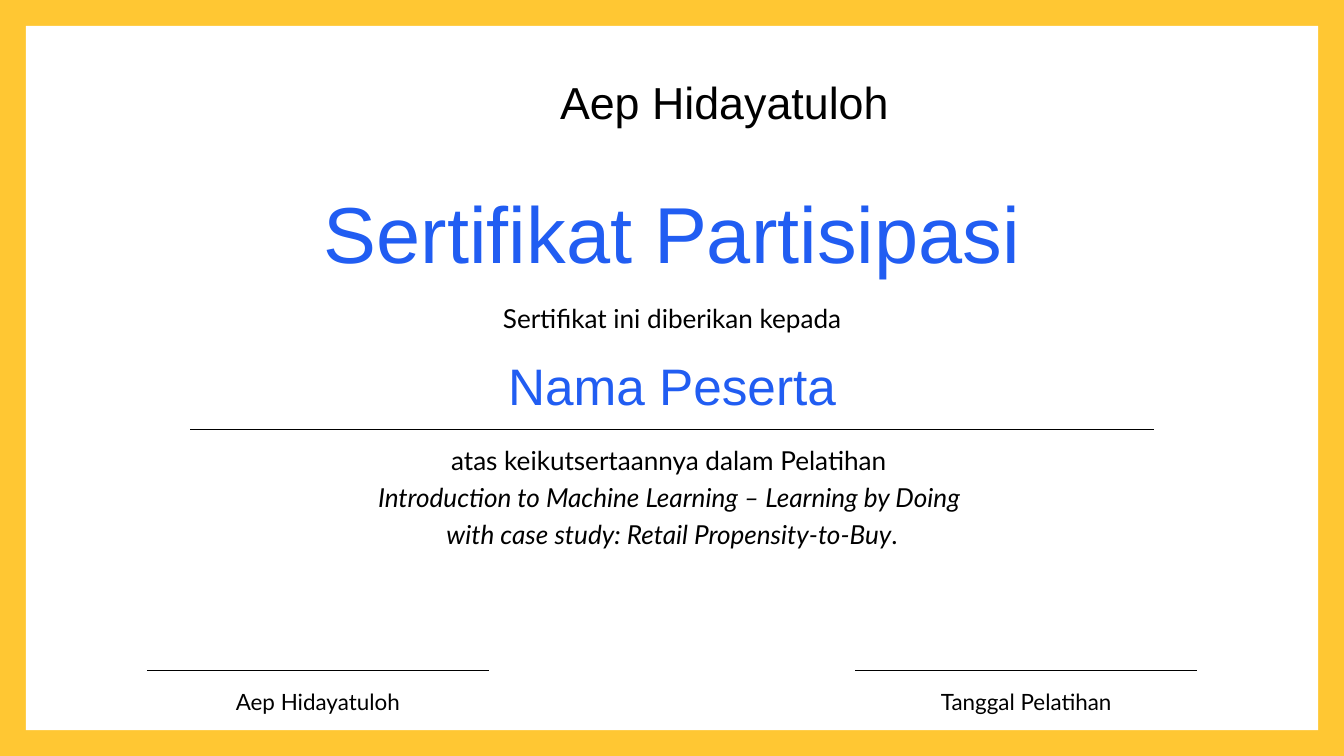
from dataclasses import dataclass

from lxml.etree import SubElement
from pptx import Presentation
from pptx.dml.color import RGBColor
from pptx.enum.shapes import MSO_CONNECTOR, MSO_SHAPE
from pptx.enum.text import MSO_AUTO_SIZE, PP_ALIGN
from pptx.oxml.ns import qn
from pptx.util import Pt

EMU_PER_PX = 9525
WIDTH, HEIGHT = 1920, 1080


@dataclass(frozen=True)
class Style:
    """Font, size, line spacing and colour of one kind of text."""
    font: str
    size: int
    spacing: float
    color: RGBColor


@dataclass(frozen=True)
class Theme:
    """Colours and text styles of the certificate."""
    border = RGBColor.from_string("FFC733")
    paper = RGBColor.from_string("FFFFFF")
    ink = RGBColor.from_string("000000")
    accent = RGBColor.from_string("215DF2")
    issuer = Style("Arial", 48, 39.2, ink)
    title = Style("Arial", 85, 93.5, accent)
    recipient = Style("Arial", 55, 60.5, accent)
    body = Style("Lato", 28, 39.2, ink)
    signature = Style("Lato", 24, 33.6, ink)


THEME = Theme()


def px(*lengths):
    """Turn pixel lengths into EMU."""
    return [length * EMU_PER_PX for length in lengths]


def add_text(slide, box, lines, style, align=PP_ALIGN.CENTER):
    """Add a text box with one paragraph per line and return its paragraphs."""
    frame = slide.shapes.add_textbox(*px(*box)).text_frame
    frame.word_wrap = True
    frame.auto_size = MSO_AUTO_SIZE.SHAPE_TO_FIT_TEXT
    frame.margin_left = frame.margin_right = 0
    frame.margin_top = frame.margin_bottom = 0
    frame.text = "\n".join(lines)
    for paragraph in frame.paragraphs:
        paragraph.alignment = align
        paragraph.line_spacing = Pt(style.spacing)
        for run in paragraph.runs:
            run.font.name = style.font
            run.font.size = Pt(style.size)
            run.font.color.rgb = style.color
    return frame.paragraphs


def add_rule(slide, left, top, width, weight):
    """Add a thin horizontal rule."""
    rule = slide.shapes.add_connector(
        MSO_CONNECTOR.STRAIGHT, *px(left, top, left + width, top))
    rule.line.color.rgb = THEME.ink
    rule.line.width = Pt(weight)
    SubElement(rule._element.spPr, qn("a:effectLst"))


def add_frame(slide, margin):
    """Colour the border and lay the white sheet inside it."""
    slide.background.fill.solid()
    slide.background.fill.fore_color.rgb = THEME.border
    sheet = slide.shapes.add_shape(
        MSO_SHAPE.RECTANGLE,
        *px(margin, margin, WIDTH - 2 * margin, HEIGHT - 2 * margin))
    sheet.shadow.inherit = False
    sheet.fill.solid()
    sheet.fill.fore_color.rgb = THEME.paper
    sheet.line.fill.background()


def add_heading(slide, left, top, width):
    """Add the issuer's name and the certificate title."""
    add_text(slide, (left + 610, top, 512, 58), ["Aep Hidayatuloh"],
             THEME.issuer, PP_ALIGN.LEFT)
    add_text(slide, (left, top + 144, width, 128), ["Sertifikat Partisipasi"],
             THEME.title)


def add_award(slide, left, top, width):
    """Add the recipient, the rule below the name and the training."""
    add_text(slide, (left, top, width, 51),
             ["Sertifikat ini diberikan kepada"], THEME.body)
    add_text(slide, (left, top + 88, width, 83), ["Nama Peserta"],
             THEME.recipient)
    add_rule(slide, left, top + 189, width, 0.75)
    _, course, case_study = add_text(
        slide, (left, top + 203, width, 156),
        ["atas keikutsertaannya dalam Pelatihan ",
         "Introduction to Machine Learning – Learning by Doing ",
         "with case study: Retail Propensity-to-Buy"], THEME.body)
    for run in course.runs + case_study.runs:
        run.font.italic = True
    period = case_study.add_run()
    period.text = "."
    period.font.name = THEME.body.font
    period.font.size = Pt(THEME.body.size)
    period.font.color.rgb = THEME.body.color


def add_signature(slide, left, top, width, caption):
    """Add a signing rule with its caption."""
    add_rule(slide, left, top, width, 1)
    add_text(slide, (left, top + 18, width, 43), [caption], THEME.signature)


def main():
    """Build the certificate and save it."""
    presentation = Presentation()
    presentation.slide_width, presentation.slide_height = px(WIDTH, HEIGHT)
    certificate = presentation.slides.add_slide(presentation.slide_layouts[6])
    add_frame(certificate, 37)
    add_heading(certificate, 190, 131, 1540)
    add_award(certificate, 272, 425, 1376)
    inset, width = 210, 488
    add_signature(certificate, inset, 958, width, "Aep Hidayatuloh")
    add_signature(certificate, WIDTH - inset - width, 958, width,
                  "Tanggal Pelatihan")
    presentation.save("out.pptx")


if __name__ == "__main__":
    main()
